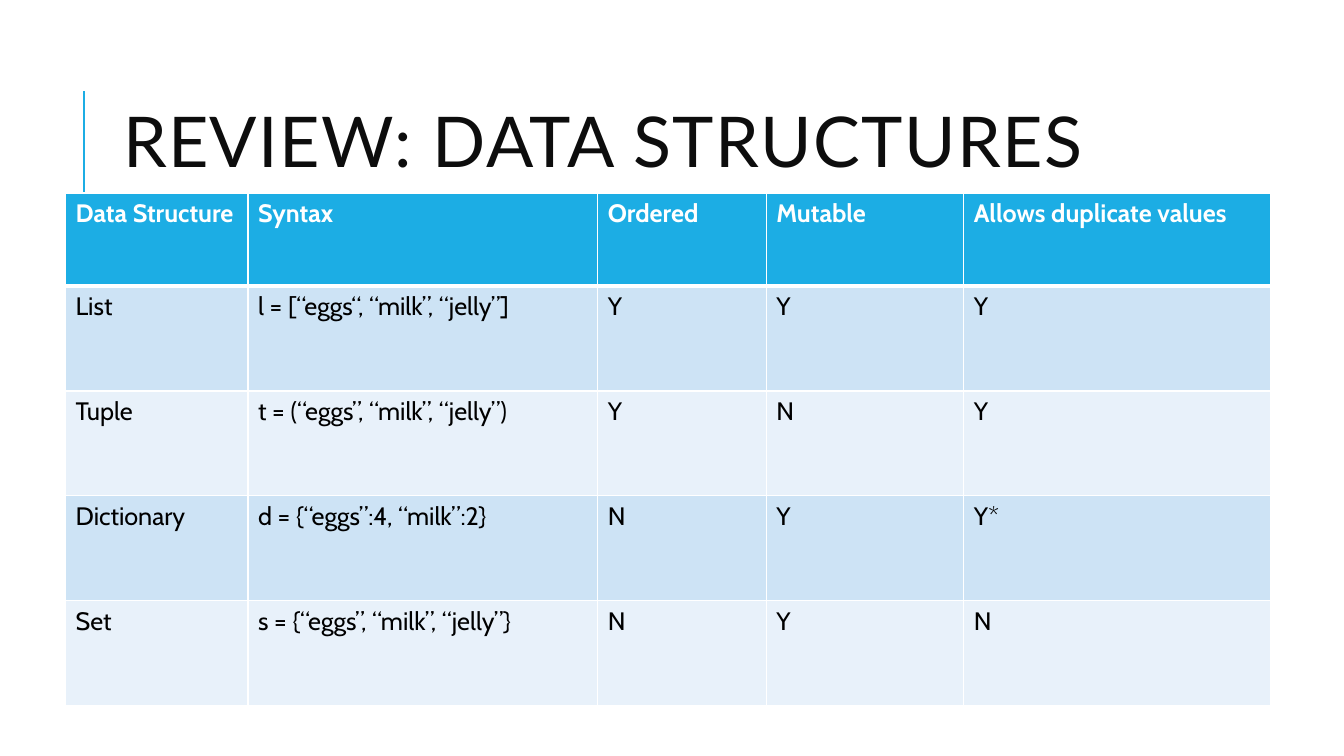
from dataclasses import dataclass

from lxml import etree
from pptx import Presentation
from pptx.dml.color import RGBColor
from pptx.enum.shapes import MSO_CONNECTOR
from pptx.enum.text import MSO_ANCHOR, MSO_AUTO_SIZE, PP_ALIGN
from pptx.oxml.ns import qn
from pptx.util import Inches, Pt

STRAIGHT = MSO_CONNECTOR.STRAIGHT
MIDDLE = MSO_ANCHOR.MIDDLE
NO_FIT = MSO_AUTO_SIZE.NONE
LEFT = PP_ALIGN.LEFT
TITLE_ONLY = 5


@dataclass(frozen=True)
class Theme:
    accent: str = "1CADE4"
    paper: str = "FFFFFF"
    ink: str = "000000"
    title_ink: str = "0D0D0D"
    bands: tuple = ("CDE3F5", "E8F1FA")
    title_font: str = "Lato"
    body_font: str = "Cabin"
    title_size: int = 50
    body_size: int = 18
    rule: float = 1.5
    grid: int = 1
    head_rule: int = 3


HEAD = ("Data Structure", "Syntax", "Ordered", "Mutable", "Allows duplicate values")
ROWS = (
    ("List", "l = [“eggs“, “milk”, “jelly”]", "Y", "Y", "Y"),
    ("Tuple", "t = (“eggs”, “milk”, “jelly”)", "Y", "N", "Y"),
    ("Dictionary", "d = {“eggs”:4, “milk”:2}", "N", "Y", "Y*"),
    ("Set", "s = {“eggs”, “milk”, “jelly”}", "N", "Y", "N"),
)
WIDTHS = (1.81, 3.47, 1.67, 1.96, 3.04)
HEAD_HEIGHT, ROW_HEIGHT = 0.92, 1.04


def apply(target, values):
    for name, value in values.items():
        setattr(target, name, value)


class Painter:
    def __init__(self, deck, theme):
        self.theme = theme
        self.slide = deck.slides.add_slide(deck.slide_layouts[TITLE_ONLY])

    def style(self, font, color, **values):
        apply(font, values)
        font.color.rgb = RGBColor.from_string(color)

    def title(self, text, left, top, width, height):
        look = self.theme
        shape = self.slide.shapes.title
        apply(shape, dict(left=Inches(left), top=Inches(top),
                          width=Inches(width), height=Inches(height)))
        frame = shape.text_frame
        apply(frame, dict(word_wrap=True, auto_size=NO_FIT, vertical_anchor=MIDDLE))
        para = frame.paragraphs[0]
        apply(para, dict(alignment=LEFT, line_spacing=0.8))
        run = para.add_run()
        run.text = text
        self.style(run.font, look.title_ink, name=look.title_font,
                   size=Pt(look.title_size))
        run.font._element.set("spc", "100")

    def line(self, x1, y1, x2, y2):
        rule = self.slide.shapes.add_connector(
            STRAIGHT, Inches(x1), Inches(y1), Inches(x2), Inches(y2))
        rule.line.color.rgb = RGBColor.from_string(self.theme.accent)
        rule.line.width = Pt(self.theme.rule)
        etree.SubElement(rule._element.spPr, qn("a:effectLst"))

    def border(self, cell, **widths):
        """Draw cell edges, given in the order L, R, T, B; call before the fill."""
        props = cell._tc.get_or_add_tcPr()
        for side, width in widths.items():
            edge = etree.SubElement(props, qn(f"a:ln{side}"), w=str(Pt(width)))
            fill = etree.SubElement(edge, qn("a:solidFill"))
            etree.SubElement(fill, qn("a:srgbClr"), val=self.theme.paper)

    def cell(self, cell, text, row):
        look = self.theme
        is_head = row == 0
        self.border(cell, L=look.grid, R=look.grid,
                    T=look.head_rule if row == 1 else look.grid,
                    B=look.head_rule if is_head else look.grid)
        cell.fill.solid()
        fill = look.accent if is_head else look.bands[(row - 1) % 2]
        cell.fill.fore_color.rgb = RGBColor.from_string(fill)
        run = cell.text_frame.paragraphs[0].add_run()
        run.text = text
        self.style(run.font, look.paper if is_head else look.ink,
                   name=look.body_font, size=Pt(look.body_size), bold=is_head)

    def table(self, rows, left, top, widths, heights):
        table = self.slide.shapes.add_table(
            len(rows), len(widths), Inches(left), Inches(top),
            Inches(sum(widths)), Inches(sum(heights))).table
        for column, width in zip(table.columns, widths):
            column.width = Inches(width)
        for index, (texts, height) in enumerate(zip(rows, heights)):
            table.rows[index].height = Inches(height)
            for column, text in enumerate(texts):
                self.cell(table.cell(index, column), text, index)


def main():
    deck = Presentation()
    apply(deck, dict(slide_width=Inches(13.33), slide_height=Inches(7.5)))
    painter = Painter(deck, Theme())
    painter.line(0.83, 1.9, 0.83, 0.9)
    painter.title("REVIEW: DATA STRUCTURES", 1.12, 0.64, 10.63, 1.64)
    heights = [HEAD_HEIGHT] + [ROW_HEIGHT] * len(ROWS)
    painter.table((HEAD, *ROWS), 0.65, 1.92, WIDTHS, heights)
    deck.save("out.pptx")


if __name__ == "__main__":
    main()
